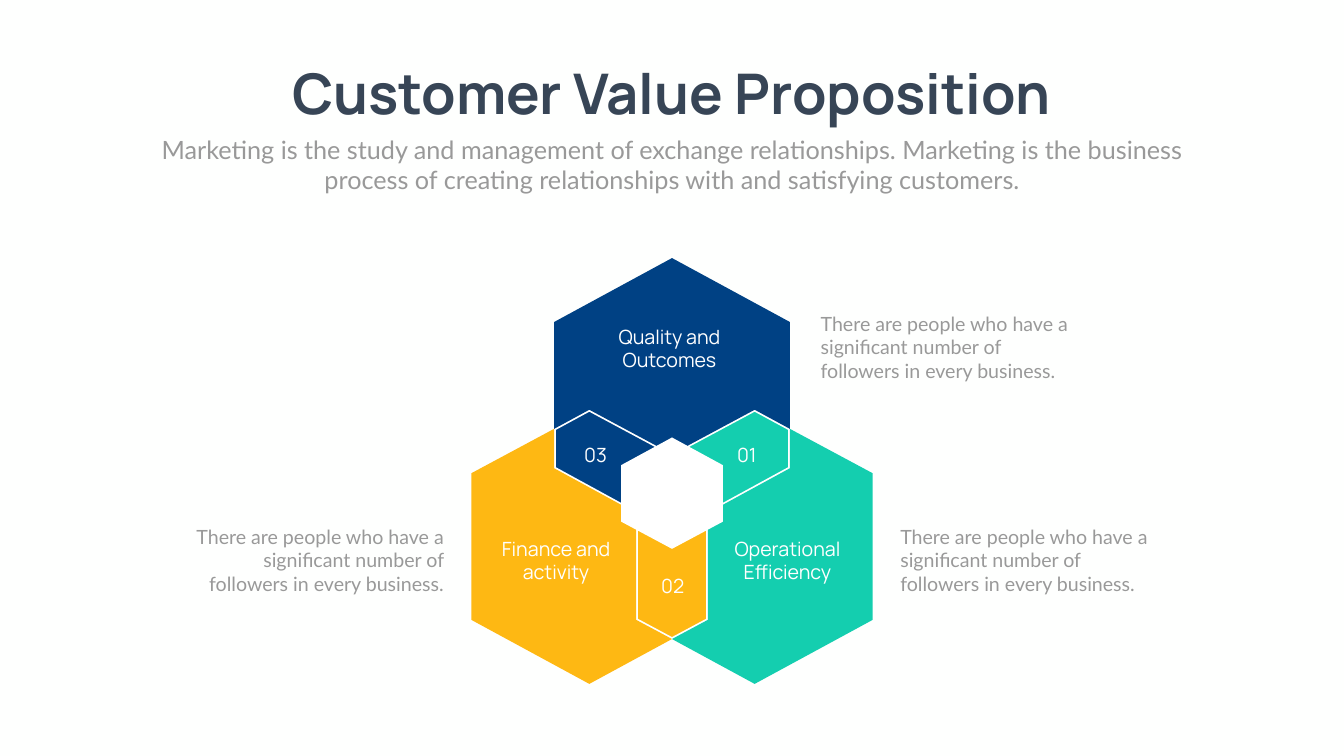
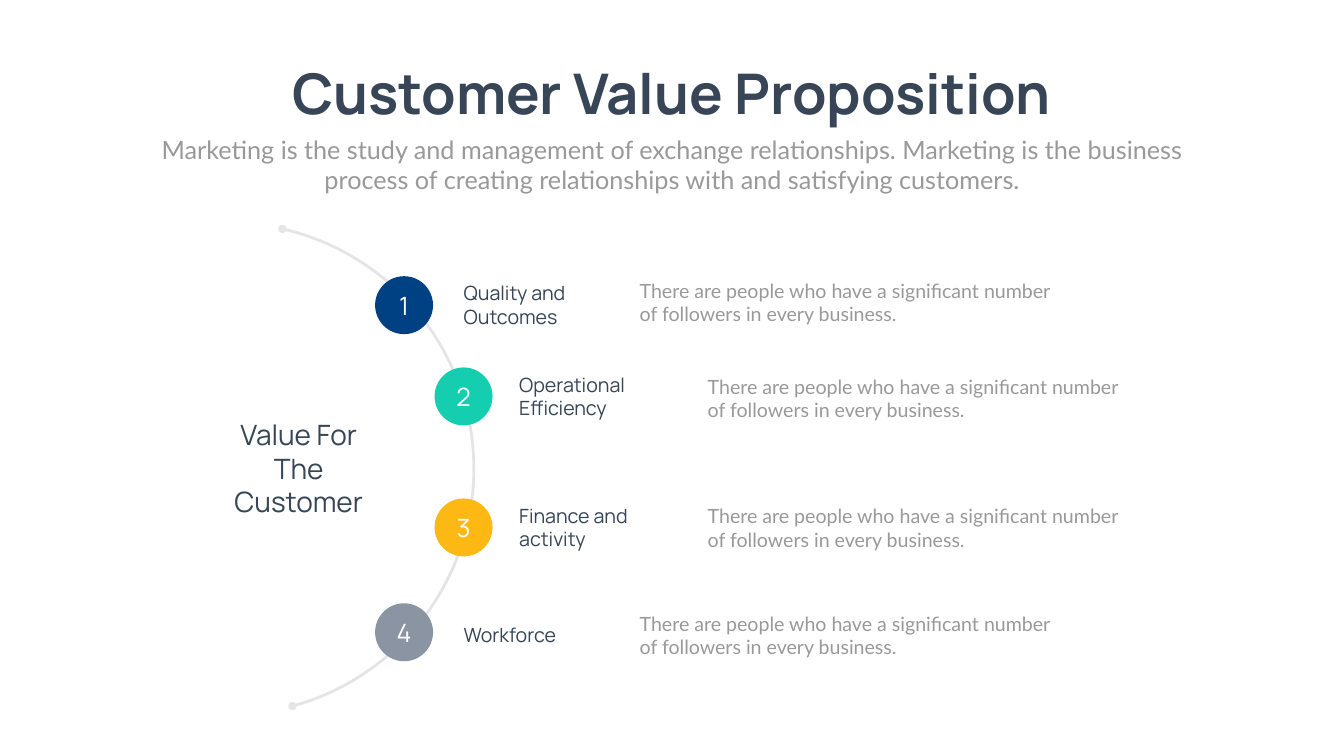
from typing import NamedTuple

from lxml.etree import SubElement
from pptx import Presentation
from pptx.dml.color import RGBColor
from pptx.enum.shapes import MSO_SHAPE
from pptx.enum.text import MSO_ANCHOR, MSO_AUTO_SIZE, PP_ALIGN
from pptx.oxml.ns import qn
from pptx.util import Inches, Pt

Point = tuple[float, float]

WIDTH, HEIGHT = 26.66, 15
MID = WIDTH / 2
COLORS = {
    "page": "FEFFFE",
    "white": "FFFFFF",
    "ink": "374556",
    "gray": "999999",
    "blue": "004184",
    "teal": "14CEAF",
    "gold": "FEB813",
    "slate": "8A94A2",
    "arc": "808080",
}
HEAD, BODY = "Manrope", "Lato"
ALIGN = {"left": PP_ALIGN.LEFT, "center": PP_ALIGN.CENTER, "right": PP_ALIGN.RIGHT}
TITLE = "Customer Value Proposition"
INTRO = (
    "Marketing is the study and management of exchange relationships. "
    "Marketing is the business process of creating relationships with "
    "and satisfying customers."
)
NOTE = "There are people who have a significant number of followers in every business."


class Panel(NamedTuple):
    color: str
    points: list[Point]
    edge: bool = False


class Label(NamedTuple):
    text: str
    left: float
    top: float
    width: float
    height: float


class Note(NamedTuple):
    left: float
    top: float
    align: str = "left"


class Step(NamedTuple):
    color: str
    title: str
    dot: Point
    label: Point
    note: Point
    height: float = 1.04


def tone(name: str) -> RGBColor:
    return RGBColor.from_string(COLORS[name])


def write(frame, text: str, *, size: float = 28, font: str = HEAD,
          color: str = "ink", align: str = "left", bold: bool = False) -> None:
    part = frame.paragraphs[0]
    part.alignment = ALIGN[align]
    run = part.add_run()
    run.text = text
    run.font.size = Pt(size)
    run.font.name = font
    run.font.bold = bold
    run.font.color.rgb = tone(color)


def add_text(slide, text: str, left: float, top: float, width: float,
             height: float, *, wrap: bool = True, **style) -> None:
    box = slide.shapes.add_textbox(*map(Inches, (left, top, width, height)))
    box.text_frame.word_wrap = wrap
    box.text_frame.auto_size = MSO_AUTO_SIZE.SHAPE_TO_FIT_TEXT
    write(box.text_frame, text, **style)


def paint(shape, color: str, edge: bool = False) -> None:
    shape.shadow.inherit = False
    shape.fill.solid()
    shape.fill.fore_color.rgb = tone(color)
    if edge:
        shape.line.color.rgb = tone("white")
        shape.line.width = Pt(5)
    else:
        shape.line.fill.background()


def flip(points: list[Point]) -> list[Point]:
    return [(WIDTH - x, y) for x, y in points]


def whole(half: list[Point]) -> list[Point]:
    return half + [point for point in reversed(flip(half)) if point not in half]


def add_panel(slide, panel: Panel) -> None:
    first, *rest = [(Inches(x), Inches(y)) for x, y in panel.points]
    maker = slide.shapes.build_freeform(*first)
    maker.add_line_segments(rest, close=True)
    paint(maker.convert_to_shape(), panel.color, panel.edge)


def add_arc(slide, left: float, top: float, size: float) -> None:
    arc = slide.shapes.add_shape(MSO_SHAPE.ARC, *map(Inches, (left, top, size, size)))
    arc.shadow.inherit = False
    arc.adjustments[0] = 117.13
    arc.adjustments[1] = 208.31
    arc.rotation = 90
    arc.fill.background()
    arc.line.color.rgb = tone("arc")
    arc.line.width = Pt(4)
    frame = arc.element.spPr
    frame.find(qn("a:xfrm")).set("flipH", "1")
    line = frame.find(qn("a:ln"))
    SubElement(line.find(".//" + qn("a:srgbClr")), qn("a:alpha")).set("val", "20000")
    for end in ("a:headEnd", "a:tailEnd"):
        SubElement(line, qn(end)).set("type", "oval")


def add_dot(slide, text: str, color: str, left: float, top: float) -> None:
    size = Inches(1.15)
    dot = slide.shapes.add_shape(MSO_SHAPE.OVAL, Inches(left), Inches(top), size, size)
    paint(dot, color)
    frame = dot.text_frame
    frame.word_wrap = True
    frame.vertical_anchor = MSO_ANCHOR.MIDDLE
    frame.margin_left = frame.margin_right = Inches(0.08)
    frame.margin_top = frame.margin_bottom = Inches(0.08)
    write(frame, text, size=36, color="white", align="center")


def start_slide(deck):
    slide = deck.slides.add_slide(deck.slide_layouts[6])
    slide.background.fill.solid()
    slide.background.fill.fore_color.rgb = tone("page")
    add_text(slide, TITLE, 5.13, 1.12, 16.39, 1.45, wrap=False,
             size=80, align="center", bold=True)
    add_text(slide, INTRO, 2.92, 2.61, 20.82, 1.31,
             size=36, font=BODY, color="gray", align="center")
    return slide


RIGHT_TAB = [(14.97, 8.13), (15.67, 8.51), (15.67, 9.29),
             (14.04, 10.18), (14.04, 9.39), (MID, 9.01)]
LOW_TAB = [(MID, 10.56), (14.04, 10.18), (14.04, 12.3), (MID, 12.68)]
TOP_HEX = [(MID, 5.12), (15.67, 6.39), (15.67, 8.51), (14.97, 8.13), (MID, 9.01)]
SIDE_HEX = [(15.67, 8.51), (17.31, 9.39), (17.31, 12.3), (14.97, 13.57), (MID, 12.68),
            (14.04, 12.3), (14.04, 10.18), (15.67, 9.29)]
CORE = [(MID, 8.68), (14.34, 9.23), (14.34, 10.35), (MID, 10.89)]

PANELS = [
    Panel("blue", flip(RIGHT_TAB), True),
    Panel("teal", RIGHT_TAB, True),
    Panel("gold", whole(LOW_TAB), True),
    Panel("blue", whole(TOP_HEX)),
    Panel("teal", SIDE_HEX),
    Panel("gold", flip(SIDE_HEX)),
    Panel("white", whole(CORE)),
]
LABELS = [
    Label("01", 14.33, 8.74, 0.97, 0.57),
    Label("02", 12.86, 11.33, 0.97, 0.57),
    Label("03", 11.33, 8.74, 0.97, 0.57),
    Label("Quality and Outcomes", 11.75, 6.39, 3.06, 1.04),
    Label("Operational Efficiency", 14.09, 10.6, 3.06, 1.04),
    Label("Finance and activity", 9.5, 10.6, 3.06, 1.04),
]
NOTES = [Note(16.18, 6.13), Note(3.55, 10.36, "right"), Note(17.76, 10.36)]
STEPS = [
    Step("blue", "Quality and Outcomes", (7.44, 5.48), (9.1, 5.53), (12.59, 5.48)),
    Step("teal", "Operational Efficiency", (8.62, 7.29), (10.2, 7.34), (13.94, 7.38)),
    Step("gold", "Finance and activity", (8.62, 9.89), (10.2, 9.94), (13.94, 9.95)),
    Step("slate", "Workforce", (7.44, 11.97), (9.1, 12.32), (12.59, 12.09), 0.57),
]


def draw_hexes(deck) -> None:
    slide = start_slide(deck)
    for panel in PANELS:
        add_panel(slide, panel)
    for label in LABELS:
        add_text(slide, *label, color="white", align="center")
    for note in NOTES:
        add_text(slide, NOTE, note.left, note.top, 5.35, 1.51,
                 font=BODY, color="gray", align=note.align)


def draw_steps(deck) -> None:
    slide = start_slide(deck)
    add_arc(slide, -0.36, 4.42, 9.76)
    add_text(slide, "Value For The Customer", 4.41, 8.24, 3.03, 2.12,
             size=40, align="center")
    for count, step in enumerate(STEPS, 1):
        add_dot(slide, str(count), step.color, *step.dot)
        add_text(slide, step.title, *step.label, 2.95, step.height)
        add_text(slide, NOTE, *step.note, 8.53, 1.04, font=BODY, color="gray")


def main() -> None:
    deck = Presentation()
    deck.slide_width = Inches(WIDTH)
    deck.slide_height = Inches(HEIGHT)
    draw_hexes(deck)
    draw_steps(deck)
    deck.save("out.pptx")


if __name__ == "__main__":
    main()
